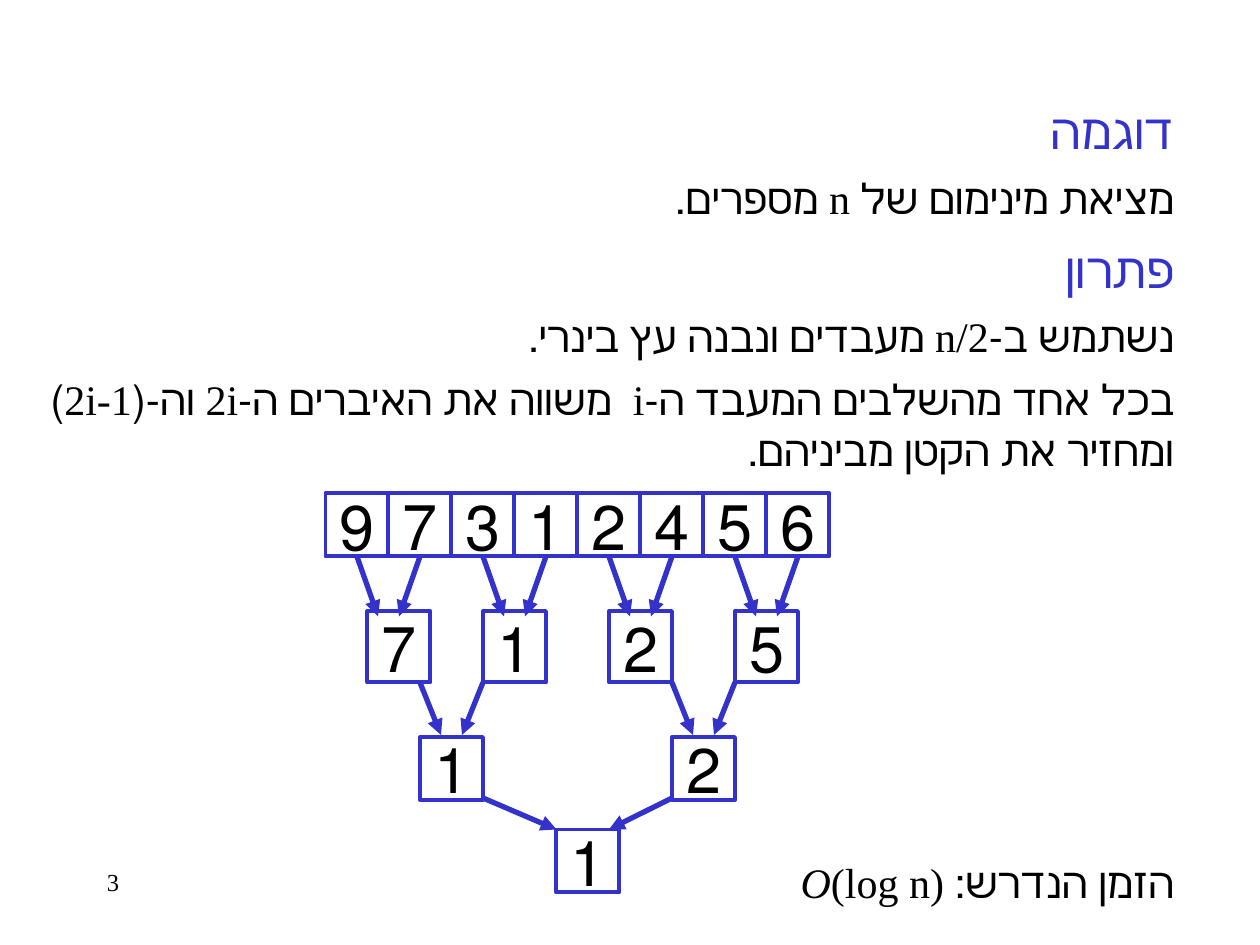
"""Build a Hebrew slide on finding a minimum with a binary tree of processors."""
from lxml import etree
from pptx import Presentation
from pptx.dml.color import RGBColor
from pptx.enum.shapes import MSO_CONNECTOR, MSO_SHAPE
from pptx.enum.text import MSO_ANCHOR, PP_ALIGN
from pptx.oxml.ns import qn
from pptx.util import Inches, Pt

RECTANGLE = MSO_SHAPE.RECTANGLE
STRAIGHT = MSO_CONNECTOR.STRAIGHT
MIDDLE = MSO_ANCHOR.MIDDLE
LEFT, CENTER, RIGHT = PP_ALIGN.LEFT, PP_ALIGN.CENTER, PP_ALIGN.RIGHT
BLUE, BLACK, WHITE = "3333CC", "000000", "FFFFFF"
UNIT = Inches(10) / 120


def grid(*cells):
    return [round(cell * UNIT) for cell in cells]


def write(frame, runs, size, color, align, rtl=True):
    paragraph = frame.paragraphs[0]
    paragraph.alignment = align
    if rtl:
        paragraph._p.get_or_add_pPr().set("rtl", "1")
    paragraph.font.name = "Times New Roman"
    paragraph.font.size = Pt(size)
    paragraph.font.color.rgb = RGBColor.from_string(color)
    for words, italic in runs:
        run = paragraph.add_run()
        run.text = words
        if italic:
            run.font.italic = True
    return paragraph


prs = Presentation()
prs.slide_width, prs.slide_height = grid(120, 90)
slide = prs.slides.add_slide(prs.slide_layouts[6])
shapes = slide.shapes

statements = [
    (1, 9, 112, 6.8, 28, BLUE, [("דוגמה", False)]),
    (1, 15.8, 112, 6, 24, BLACK, [("מציאת מינימום של n מספרים.", False)]),
    (1, 22.2, 112, 6.8, 28, BLUE, [("פתרון", False)]),
    (1, 29, 112, 6, 24, BLACK, [("נשתמש ב-n/2 מעבדים ונבנה עץ בינרי.", False)]),
    (1, 35, 112, 10.8, 24, BLACK,
     [("בכל אחד מהשלבים המעבד ה-i  משווה את האיברים ה-2i וה-(2i-1) ומחזיר את הקטן מביניהם.", False)]),
    (75, 81, 38, 10.8, 24, BLACK,
     [("הזמן הנדרש: ", False), ("O", True), ("(log n)", False)]),
]
for left, top, width, height, size, color, runs in statements:
    frame = shapes.add_textbox(*grid(left, top, width, height)).text_frame
    frame.word_wrap = True
    write(frame, runs, size, color, RIGHT).space_before = Pt(size * 0.625)

levels = [
    (47, 6, range(31, 74, 6), "97312456"),
    (58.2, 6.8, (35, 46, 58, 70), "7125"),
    (70.2, 6, (40, 64), "12"),
    (79, 6, (53,), "1"),
]
for top, height, lefts, values in levels:
    for left, value in zip(lefts, values):
        node = shapes.add_shape(RECTANGLE, *grid(left, top, 6, height))
        node.shadow.inherit = False
        node.fill.solid()
        node.fill.fore_color.rgb = RGBColor.from_string(WHITE)
        node.line.color.rgb = RGBColor.from_string(BLUE)
        node.line.width = Pt(2.25)
        node.text_frame.word_wrap = False
        node.text_frame.vertical_anchor = MIDDLE
        write(node.text_frame, [(value, False)], 36, BLACK, CENTER)

comparisons = [(x, 53, x + 2, 58.7) for x in range(34, 71, 12)]
comparisons += [(x, 53, x - 2, 58.7) for x in range(40, 77, 12)]
comparisons += [(x, 65, x + 2, 70) for x in (40, 64)]
comparisons += [(x, 65, x - 2, 70) for x in (46, 70)]
comparisons += [(46, 76, 53, 79), (64, 76, 58, 79)]
for ends in comparisons:
    arrow = shapes.add_connector(STRAIGHT, *grid(*ends))
    arrow.line.color.rgb = RGBColor.from_string(BLUE)
    arrow.line.width = Pt(3)
    etree.SubElement(arrow.line._get_or_add_ln(), qn("a:tailEnd"), type="triangle")
    etree.SubElement(arrow._element.spPr, qn("a:effectLst"))

page_number = shapes.add_textbox(*grid(9, 82, 25, 6)).text_frame
page_number.word_wrap = True
write(page_number, [("3", False)], 14, BLACK, LEFT, rtl=False)

prs.save("out.pptx")
